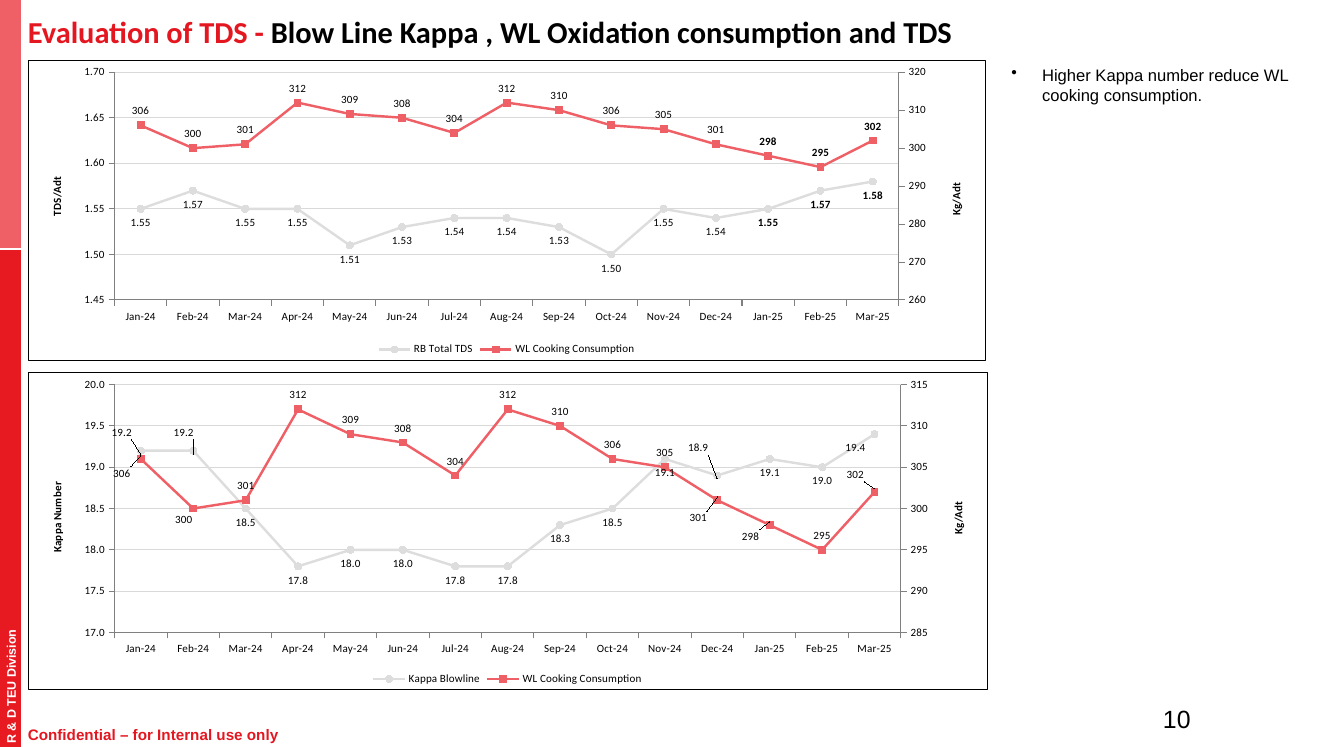
"""Build the slide on kappa number, white liquor consumption and TDS."""
from copy import deepcopy

from lxml import etree
from pptx import Presentation
from pptx.chart.axis import ValueAxis
from pptx.chart.data import CategoryChartData
from pptx.dml.color import RGBColor
from pptx.enum.chart import (XL_CHART_TYPE, XL_LABEL_POSITION, XL_LEGEND_POSITION,
                             XL_MARKER_STYLE, XL_TICK_MARK)
from pptx.enum.shapes import MSO_CONNECTOR, MSO_SHAPE
from pptx.enum.text import MSO_ANCHOR, PP_ALIGN
from pptx.oxml import parse_xml
from pptx.oxml.ns import nsdecls, qn
from pptx.util import Inches, Pt

LINE_MARKERS = XL_CHART_TYPE.LINE_MARKERS
BELOW, ABOVE = XL_LABEL_POSITION.BELOW, XL_LABEL_POSITION.ABOVE
CIRCLE, SQUARE = XL_MARKER_STYLE.CIRCLE, XL_MARKER_STYLE.SQUARE
OUTSIDE = XL_TICK_MARK.OUTSIDE
BOTTOM = XL_LEGEND_POSITION.BOTTOM
TOP_ANCHOR, BOTTOM_ANCHOR = MSO_ANCHOR.TOP, MSO_ANCHOR.BOTTOM
LEFT, RIGHT = PP_ALIGN.LEFT, PP_ALIGN.RIGHT
RECTANGLE, STRAIGHT = MSO_SHAPE.RECTANGLE, MSO_CONNECTOR.STRAIGHT

COLORS = {"red": "E41721", "bar": "E71921", "coral": "EF5F66", "gray": "DDDDDD",
          "grid": "D9D9D9", "axis": "808080", "black": "000000", "white": "FFFFFF"}
MONTHS = [f"{month}-24" for month in
          "Jan Feb Mar Apr May Jun Jul Aug Sep Oct Nov Dec".split()]
MONTHS += ["Jan-25", "Feb-25", "Mar-25"]
COOKING = [306, 300, 301, 312, 309, 308, 304, 312, 310, 306, 305, 301, 298, 295, 302]
TITLE = [("Evaluation of TDS - ", "red"),
         ("Blow Line Kappa , WL Oxidation consumption and TDS", "black")]
CHARTS = [
    {"at": (0.28, 0.6, 9.62, 3.02), "name": "RB Total TDS", "format": "0.00",
     "values": [1.55, 1.57, 1.55, 1.55, 1.51, 1.53, 1.54, 1.54, 1.53, 1.5, 1.55, 1.54,
                1.55, 1.57, 1.58],
     "left": ("TDS/Adt", 1.45, 1.7, 0.05, 0.38), "right": ("Kg/Adt", 260, 320, 10, 0.4),
     "plot_height": 0.76, "bold": [12, 13, 14], "moved": [{}, {}]},
    {"at": (0.28, 3.73, 9.64, 3.2), "name": "Kappa Blowline", "format": "0.0",
     "values": [19.2, 19.2, 18.5, 17.8, 18, 18, 17.8, 17.8, 18.3, 18.5, 19.1, 18.9,
                19.1, 19, 19.4],
     "left": ("Kappa Number", 17, 20, 0.5, 0.34), "right": ("Kg/Adt", 285, 315, 5, 0.4),
     "plot_height": 0.78, "bold": [],
     "moved": [{0: (-0.02, -0.1), 1: (-0.01, -0.1), 11: (-0.02, -0.13), 14: (-0.02, 0)},
               {0: (-0.02, 0.09), 1: (-0.01, 0.08), 11: (-0.02, 0.1),
                12: (-0.02, 0.08), 14: (-0.02, -0.01)}]},
]


def rgb(name):
    """Return the named colour."""
    return RGBColor.from_string(COLORS[name])


def set_font(font, size, color="black", bold=False, name="Calibri"):
    """Format a font."""
    font.size, font.bold, font.name = Pt(size), bold, name
    font.color.rgb = rgb(color)


def add_text(page, text, at, size, color="black", bold=False, align=LEFT,
             anchor=TOP_ANCHOR, inset=(0, 0), wrap=True, rotation=0, bullet=False):
    """Add a text box with one paragraph."""
    box = page.shapes.add_textbox(*map(Inches, at))
    box.rotation = rotation
    frame = box.text_frame
    frame.word_wrap, frame.vertical_anchor = wrap, anchor
    frame.margin_left = frame.margin_right = Inches(inset[0])
    frame.margin_top = frame.margin_bottom = Inches(inset[1])
    para = frame.paragraphs[0]
    para.alignment = align
    if bullet:
        props = para._p.get_or_add_pPr()
        props.set("marL", str(Inches(0.31)))
        props.set("indent", str(-Inches(0.31)))
        etree.SubElement(props, qn("a:buChar")).set("char", "•")
    span = para.add_run()
    span.text = text
    set_font(span.font, size, color, bold, "Arial")


def make_layout(**values):
    """Return a manual chart layout."""
    parts = "".join(f'<c:{key} val="{value}"/>' for key, value in values.items())
    return parse_xml(f'<c:layout {nsdecls("c")}><c:manualLayout>{parts}'
                     '</c:manualLayout></c:layout>')


def replace_layout(parent, before, layout):
    """Put a layout after the given child, or first when there is none."""
    for old in parent.findall(qn("c:layout")):
        parent.remove(old)
    if before is None:
        parent.insert(0, layout)
    else:
        before.addnext(layout)


def style_axis(axis):
    """Set tick marks and line of an axis."""
    axis.major_tick_mark = OUTSIDE
    axis.format.line.color.rgb = rgb("axis")
    axis.format.line.width = Pt(0.75)


def style_value_axis(axis, spec, number_format, title_x):
    """Set scale, number format and title of a value axis."""
    title, low, high, step, title_y = spec
    style_axis(axis)
    axis.minimum_scale, axis.maximum_scale, axis.major_unit = low, high, step
    axis.tick_labels.number_format = number_format
    axis.tick_labels.number_format_is_linked = False
    frame = axis.axis_title.text_frame
    frame.text = title
    set_font(frame.paragraphs[0].runs[0].font, 8, bold=True)
    body = frame._txBody.find(qn("a:bodyPr"))
    body.set("rot", "-5400000")
    body.set("vert", "horz")
    element = axis.axis_title._element
    replace_layout(element, element.find(qn("c:tx")),
                   make_layout(xMode="edge", yMode="edge", x=title_x, y=title_y))


def add_right_axis(chart, spec):
    """Move the second series to a value axis on the right."""
    left_plot = chart.plots[0]._element
    right_plot = deepcopy(left_plot)
    left_plot.remove(left_plot.findall(qn("c:ser"))[1])
    right_plot.remove(right_plot.findall(qn("c:ser"))[0])
    left_plot.addnext(right_plot)
    months, values = deepcopy(chart.category_axis._element), deepcopy(chart.value_axis._element)
    chart.value_axis._element.addnext(values)
    values.addnext(months)
    ids = ("50001", "50002")
    for link, number in zip(right_plot.findall(qn("c:axId")), ids):
        link.set("val", number)
    for axis, own, other in ((months, *ids), (values, *ids[::-1])):
        axis.find(qn("c:axId")).set("val", own)
        axis.find(qn("c:crossAx")).set("val", other)
    months.find(qn("c:delete")).set("val", "1")
    values.find(qn("c:axPos")).set("val", "r")
    values.find(qn("c:crosses")).set("val", "max")
    right_axis = ValueAxis(values)
    right_axis.has_major_gridlines = False
    style_value_axis(right_axis, spec, "#,##0", 0.96)


def style_series(series, color, marker, position, number_format, bold, moved):
    """Format a line, its markers and its labels."""
    series.smooth = False
    series.format.line.color.rgb = rgb(color)
    series.format.line.width = Pt(1.75)
    series.marker.style, series.marker.size = marker, 5
    series.marker.format.fill.solid()
    series.marker.format.fill.fore_color.rgb = rgb(color)
    series.marker.format.line.color.rgb = rgb(color)
    labels = series.data_labels
    labels.show_value, labels.position = True, position
    labels.number_format, labels.number_format_is_linked = number_format, False
    set_font(labels.font, 8)
    for index in sorted({*bold, *moved}):
        label = series.points[index].data_label
        set_font(label.font, 8, bold=index in bold)
        label.position = position
        if index in moved:
            element = series._element.xpath(f'.//c:dLbl[c:idx/@val="{index}"]')[0]
            x, y = moved[index]
            replace_layout(element, element.find(qn("c:idx")), make_layout(x=x, y=y))


def add_line_chart(page, spec):
    """Add a line chart with two value axes."""
    data = CategoryChartData()
    data.categories = MONTHS
    data.add_series(spec["name"], spec["values"], spec["format"])
    data.add_series("WL Cooking Consumption", COOKING, "#,##0")
    chart = page.shapes.add_chart(LINE_MARKERS, *map(Inches, spec["at"]), data).chart
    set_font(chart.font, 8)
    chart.has_title = False
    chart.has_legend = True
    chart.legend.position, chart.legend.include_in_layout = BOTTOM, False
    chart.plots[0].vary_by_categories = False
    style_axis(chart.category_axis)
    style_value_axis(chart.value_axis, spec["left"], spec["format"], 0.02)
    grid = chart.value_axis.major_gridlines.format.line
    grid.color.rgb, grid.width = rgb("grid"), Pt(0.75)
    add_right_axis(chart, spec["right"])
    styles = (("gray", CIRCLE, BELOW, spec["format"]), ("coral", SQUARE, ABOVE, "#,##0"))
    for plot, style, moved in zip(chart.plots, styles, spec["moved"]):
        style_series(plot.series[0], *style, spec["bold"], moved)
    space = chart._chartSpace
    replace_layout(space.find(".//" + qn("c:plotArea")), None,
                   make_layout(layoutTarget="inner", xMode="edge", yMode="edge",
                               x=0.09, y=0.04, w=0.82, h=spec["plot_height"]))
    space.find(qn("c:txPr")).addprevious(parse_xml(
        f'<c:spPr {nsdecls("c", "a")}><a:solidFill><a:srgbClr val="{COLORS["white"]}"/>'
        f'</a:solidFill><a:ln w="{Pt(0.75)}"><a:solidFill>'
        f'<a:srgbClr val="{COLORS["black"]}"/></a:solidFill></a:ln></c:spPr>'))


def add_sidebar(page):
    """Add the two-tone bar on the left edge."""
    for top, height, color in ((0, 2.5, "coral"), (2.5, 5, "bar")):
        bar = page.shapes.add_shape(RECTANGLE, 0, Inches(top), Inches(0.21), Inches(height))
        bar.shadow.inherit = False
        bar.fill.solid()
        bar.fill.fore_color.rgb = rgb(color)
        bar.line.fill.background()
    divider = page.shapes.add_connector(STRAIGHT, 0, Inches(2.5), Inches(0.21), Inches(2.5))
    divider.line.color.rgb, divider.line.width = rgb("white"), Pt(1.5)
    etree.SubElement(divider._element.spPr, qn("a:effectLst"))


def add_title(page):
    """Fill and place the title."""
    title = page.shapes.title
    title.left, title.top, title.width, title.height = map(Inches, (0.28, 0.13, 10.34, 0.74))
    frame = title.text_frame
    frame.margin_left = frame.margin_right = frame.margin_top = frame.margin_bottom = 0
    frame.vertical_anchor = TOP_ANCHOR
    para = frame.paragraphs[0]
    para.alignment = LEFT
    for text, color in TITLE:
        span = para.add_run()
        span.text = text
        set_font(span.font, 22, color, True)


def main():
    """Build and save the deck."""
    deck = Presentation()
    deck.slide_width, deck.slide_height = Inches(13.5), Inches(7.5)
    page = deck.slides.add_slide(deck.slide_layouts[5])
    add_sidebar(page)
    add_title(page)
    add_text(page, "10", (11.65, 7.06, 0.31, 0.3), 18, align=RIGHT,
             anchor=BOTTOM_ANCHOR, wrap=False)
    add_text(page, "R & D TEU Division", (-0.7, 6.58, 1.62, 0.15), 9, "white", True,
             rotation=270)
    add_text(page, "Confidential – for Internal use only", (0.28, 7.28, 3.27, 0.19), 11,
             "red", True)
    for spec in CHARTS:
        add_line_chart(page, spec)
    add_text(page, "Higher Kappa number reduce WL cooking consumption.",
             (10.06, 0.6, 3.13, 0.5), 12, inset=(0.1, 0.05), bullet=True)
    deck.save("out.pptx")


if __name__ == "__main__":
    main()
